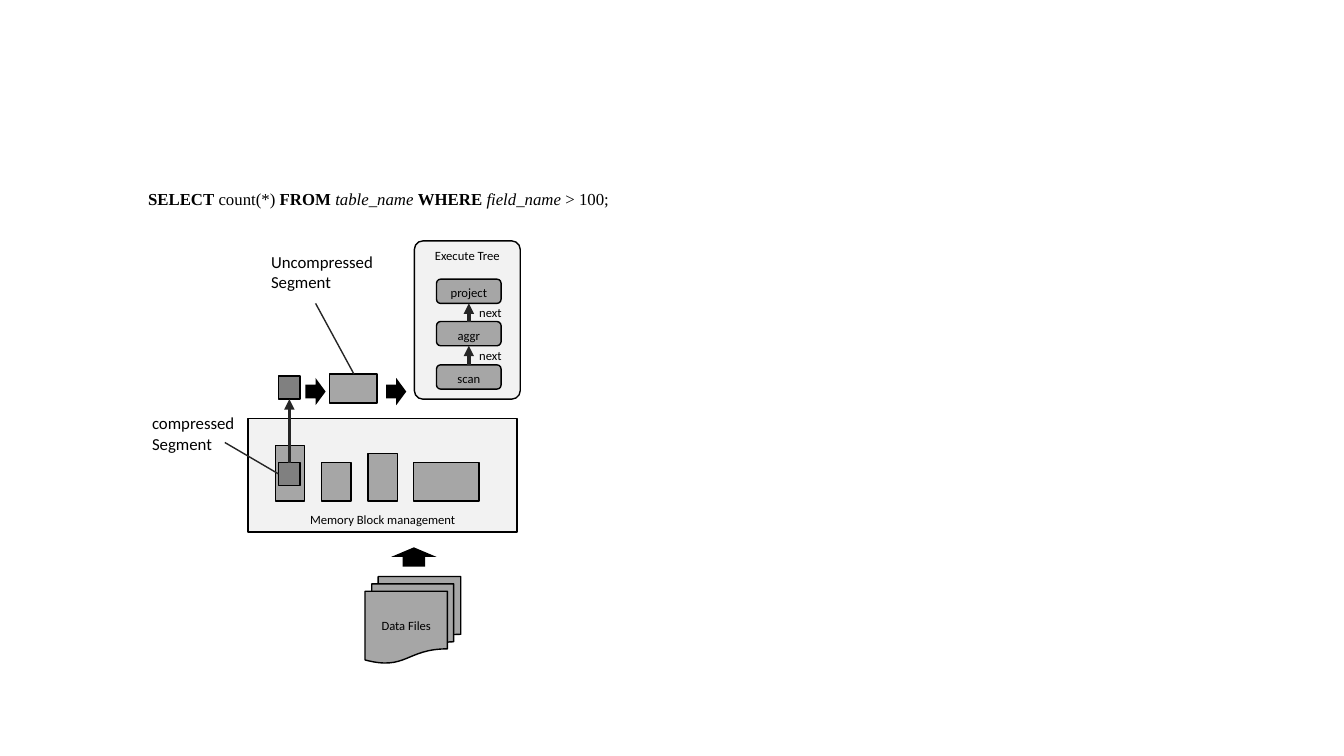
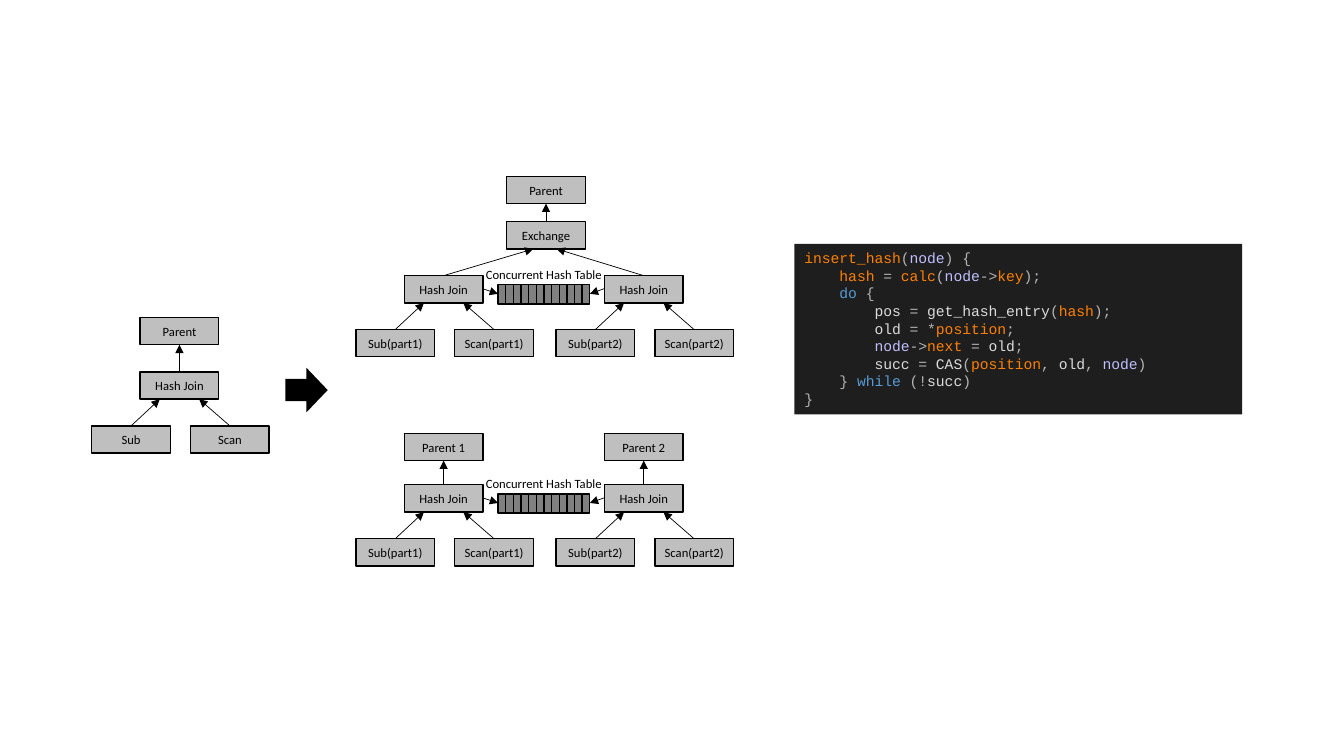
from dataclasses import dataclass
from itertools import groupby

from lxml.etree import SubElement
from pptx import Presentation
from pptx.dml.color import RGBColor
from pptx.enum.shapes import MSO_CONNECTOR, MSO_SHAPE
from pptx.enum.text import MSO_ANCHOR, PP_ALIGN
from pptx.oxml.ns import qn
from pptx.util import Inches, Pt


@dataclass(frozen=True)
class Theme:
    ink: str = "000000"
    stem: str = "262626"
    panel: str = "F2F2F2"
    block: str = "A6A6A6"
    node: str = "BFBFBF"
    segment: str = "808080"
    code_back: str = "1E1E1E"
    code_plain: str = "DCDCDC"
    code_mark: str = "B4B4B4"
    code_name: str = "FF8000"
    code_param: str = "C0C0FF"
    code_keyword: str = "569CD6"
    body_font: str = "Calibri"
    query_font: str = "Times New Roman"
    code_font: str = "Courier New"
    small: float = 9
    code_size: float = 10.5
    medium: float = 12
    thin: float = 0.5
    normal: float = 1
    thick: float = 2.5


T = Theme()
NODE_W, NODE_H = 0.78, 0.27

QUERY = [
    ("SELECT", {"bold": True}), (" count(*) ", {}),
    ("FROM ", {"bold": True}), ("table_name ", {"italic": True}),
    ("WHERE ", {"bold": True}), ("field_name ", {"italic": True}),
    ("> 100;", {}),
]

CODE = """insert_hash(node) {
    hash = calc(node->key);
    do {
        pos = get_hash_entry(hash);
        old = *position;
        node->next = old;
        succ = CAS(position, old, node)
    } while (!succ)
}"""
CODE_COLORS = {
    **dict.fromkeys(["insert_hash", "hash", "calc", "key", "position", "next"],
                    T.code_name),
    **dict.fromkeys(["do", "while"], T.code_keyword),
    "node": T.code_param,
}


def write(tf, text, font=T.body_font, size=T.small, color=T.ink,
          align=PP_ALIGN.LEFT, anchor=MSO_ANCHOR.TOP, wrap=True):
    """Fill a text frame; text is a string or a list of paragraphs of (text, format) runs."""
    tf.word_wrap = wrap
    tf.vertical_anchor = anchor
    paragraphs = [[(text, {})]] if isinstance(text, str) else text
    for i, runs in enumerate(paragraphs):
        p = tf.add_paragraph() if i else tf.paragraphs[0]
        p.alignment = align
        for words, style in runs:
            r = p.add_run()
            r.text = words
            f = r.font
            f.name, f.size = font, Pt(size)
            f.bold, f.italic = style.get("bold", False), style.get("italic", False)
            f.color.rgb = RGBColor.from_string(style.get("color", color))


def add_text(s, at, text, **style):
    box = s.shapes.add_textbox(*map(Inches, at))
    write(box.text_frame, text, **style)
    return box


def add_box(shapes, at, fill, text=None, kind=MSO_SHAPE.RECTANGLE, outlined=True, **style):
    sp = shapes.add_shape(kind, *map(Inches, at))
    sp.shadow.inherit = False
    sp.fill.solid()
    sp.fill.fore_color.rgb = RGBColor.from_string(fill)
    if outlined:
        sp.line.color.rgb = RGBColor.from_string(T.ink)
        sp.line.width = Pt(T.normal)
    else:
        sp.line.fill.background()
    if text:
        tf = sp.text_frame
        tf.margin_left = tf.margin_right = 0
        write(tf, text, align=PP_ALIGN.CENTER, **style)
    return sp


def add_block_arrow(s, at, kind=MSO_SHAPE.RIGHT_ARROW):
    add_box(s.shapes, at, T.ink, kind=kind, outlined=False)


def add_line(s, start, end, color=T.ink, width=T.thin, arrow=True):
    cn = s.shapes.add_connector(MSO_CONNECTOR.STRAIGHT, *map(Inches, (*start, *end)))
    cn.line.color.rgb = RGBColor.from_string(color)
    cn.line.width = Pt(width)
    if arrow:
        SubElement(cn.line._get_or_add_ln(), qn("a:tailEnd"), type="triangle")
    SubElement(cn._element.spPr, qn("a:effectLst"))


def add_query(s):
    box = add_text(s, (1.04, 1.74, 5.21, 0.38), [QUERY], font=T.query_font, size=T.medium)
    p = box.text_frame.paragraphs[0]
    p.line_spacing, p.space_after = Pt(20), Pt(3)
    p._p.get_or_add_pPr().set("indent", str(Inches(0.33)))


def add_memory(s):
    add_box(s.shapes, (2.46, 4.15, 2.67, 1.13), T.panel, "Memory Block management",
            anchor=MSO_ANCHOR.BOTTOM)
    bottom = 4.97
    for left, width, height in ((2.73, 0.29, 0.55), (3.19, 0.29, 0.38),
                                (3.65, 0.29, 0.47), (4.1, 0.65, 0.38)):
        add_box(s.shapes, (left, bottom - height, width, height), T.block)
    for top in (4.59, 3.73):
        add_box(s.shapes, (2.765, top, 0.21, 0.23), T.segment)
    add_line(s, (2.87, 4.59), (2.87, 3.96), T.stem, T.thick)


def add_execute_tree(s):
    panel = add_box(s.shapes, (4.11, 2.39, 1.05, 1.57), T.panel, "Execute Tree",
                    kind=MSO_SHAPE.ROUNDED_RECTANGLE)
    panel.adjustments[0] = 0.08
    height, tops = 0.24, (2.77, 3.19, 3.62)
    for top, step in zip(tops, ("project", "aggr", "scan")):
        add_box(s.shapes, (4.33, top, 0.64, height), T.block, step,
                kind=MSO_SHAPE.ROUNDED_RECTANGLE)
    for upper, lower in zip(tops, tops[1:]):
        add_line(s, (4.65, lower), (4.65, upper + height), T.stem, T.thick)
        add_text(s, (4.655, upper + 0.21, 0.43, 0.25), "next", wrap=False)


def add_callout(s, left, top, text, start, end):
    add_text(s, (left, top, 1.24, 0.5), text, size=T.medium)
    add_line(s, start, end, T.stem, T.normal, arrow=False)


def build_query_slide(s):
    add_query(s)
    add_memory(s)
    add_box(s.shapes, (3.27, 3.71, 0.47, 0.29), T.block)
    add_box(s.shapes, (3.62, 5.72, 0.95, 0.86), T.block, "Data Files",
            kind=MSO_SHAPE.FLOWCHART_MULTIDOCUMENT, anchor=MSO_ANCHOR.MIDDLE)
    for left in (3.03, 3.83):
        add_block_arrow(s, (left, 3.75, 0.2, 0.27))
    add_block_arrow(s, (3.88, 5.43, 0.45, 0.19), MSO_SHAPE.UP_ARROW)
    add_execute_tree(s)
    add_callout(s, 2.59, 2.45, "Uncompressed Segment", (3.13, 3.01), (3.51, 3.71))
    add_callout(s, 1.41, 4.05, "compressed Segment", (2.23, 4.39), (2.76, 4.7))


def add_node(s, center, top, text):
    add_box(s.shapes, (center - NODE_W / 2, top, NODE_W, NODE_H), T.node, text,
            anchor=MSO_ANCHOR.MIDDLE)


def add_parent(s, center, top, text, child_top):
    add_node(s, center, top, text)
    add_line(s, (center, child_top), (center, top + NODE_H))


def add_join(s, center, top, part=""):
    """Draw a hash join fed by its Sub and Scan leaves."""
    add_node(s, center, top, "Hash Join")
    leaf_top = top + 0.535
    for name, offset, target in (("Sub", -0.48, -NODE_W / 4), ("Scan", 0.5, NODE_W / 4)):
        add_node(s, center + offset, leaf_top, name + part)
        add_line(s, (center + offset, leaf_top), (center + target, top + NODE_H))


def add_hash_table(s, top):
    group = s.shapes.add_group_shape()
    cells, left, width = 12, 4.94, 0.91
    for i in range(cells):
        add_box(group.shapes, (left + i * width / cells, top + 0.09, width / cells, 0.19),
                T.segment)
    add_text(s, (4.72, top - 0.14, 1.37, 0.25), "Concurrent Hash Table", wrap=False)
    for start, end in ((4.79, left), (5.99, left + width)):
        add_line(s, (start, top + 0.13), (end, top + 0.18))


def add_parallel_joins(s, centers, top):
    for part, center in enumerate(centers, 1):
        add_join(s, center, top, f"(part{part})")
    add_hash_table(s, top)


def token_kind(char):
    if char.isspace():
        return "space"
    return "word" if char.isalnum() or char == "_" else "mark"


def color_code(line):
    runs = []
    for kind, chars in groupby(line, token_kind):
        token = "".join(chars)
        plain = T.code_mark if kind == "mark" else T.code_plain
        runs.append((token, {"color": CODE_COLORS.get(token, plain)}))
    return runs


def add_code(s):
    box = add_text(s, (7.88, 2.42, 4.44, 1.69), [color_code(x) for x in CODE.splitlines()],
                   font=T.code_font, size=T.code_size)
    box.fill.solid()
    box.fill.fore_color.rgb = RGBColor.from_string(T.code_back)


def build_join_slide(s):
    single, centers, middle = 1.78, (4.4, 6.385), 5.415
    add_parent(s, single, 3.15, "Parent", 3.69)
    add_join(s, single, 3.69)
    add_block_arrow(s, (2.83, 3.65, 0.42, 0.44))

    join_top, exchange_top = 2.735, 2.2
    add_parent(s, middle, 1.75, "Parent", exchange_top)
    add_node(s, middle, exchange_top, "Exchange")
    add_parallel_joins(s, centers, join_top)
    for center, target in zip(centers, (5.29, 5.52)):
        add_line(s, (center, join_top), (target, exchange_top + NODE_H))

    join_top = 4.81
    add_parallel_joins(s, centers, join_top)
    for number, center in enumerate(centers, 1):
        add_parent(s, center, 4.3, f"Parent {number}", join_top)
    add_code(s)


def main():
    prs = Presentation()
    prs.slide_width, prs.slide_height = Inches(13.33), Inches(7.5)
    blank = prs.slide_layouts[6]
    for build in (build_query_slide, build_join_slide):
        build(prs.slides.add_slide(blank))
    prs.save("out.pptx")


if __name__ == "__main__":
    main()
